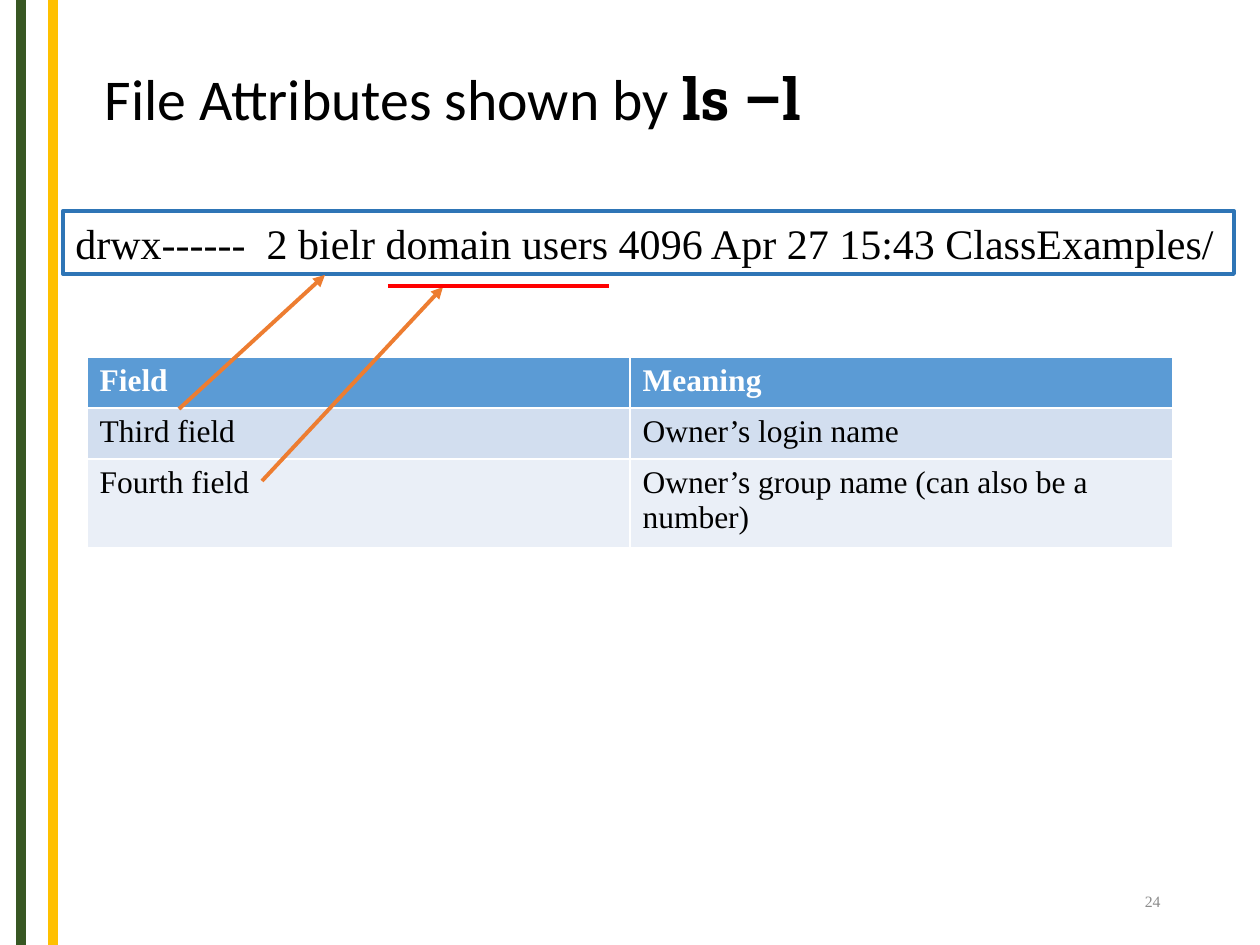
import pptx
import pptx.dml.color
import pptx.enum.shapes
import pptx.enum.text
import pptx.oxml
import pptx.util
from dataclasses import dataclass

EMU_PER_PX = 914400 / 126


@dataclass(frozen=True)
class Theme:
    text: str = "000000"
    muted: str = "8C8C8C"
    white: str = "FFFFFF"
    green: str = "385723"
    gold: str = "FFC000"
    box_line: str = "2E75B6"
    arrow: str = "ED7D31"
    underline: str = "FF0000"
    header_fill: str = "5B9BD5"
    band_fills: tuple = ("D2DEEF", "EAEFF7")
    title_font: str = "Calibri"
    code_font: str = "Roboto Slab"
    body_font: str = "Times New Roman"
    title_size: int = 33
    listing_size: int = 24
    table_size: int = 18
    number_size: int = 9
    bar_width: float = 6
    line_width: float = 2.25


def px(length):
    return pptx.util.Emu(round(length * EMU_PER_PX))


def rgb(value):
    return pptx.dml.color.RGBColor.from_string(value)


class SlideBuilder:
    def __init__(self, presentation, theme):
        self.theme = theme
        self.slide = presentation.slides.add_slide(presentation.slide_layouts[5])

    def format_run(self, run, size, color, font=None, bold=False):
        run.font.name = font or self.theme.body_font
        run.font.size = pptx.util.Pt(size)
        run.font.bold = bold
        run.font.color.rgb = rgb(color)

    def title(self, left, top, width, height, text, code):
        shape = self.slide.shapes.title
        shape.left, shape.top, shape.width, shape.height = map(px, (left, top, width, height))
        frame = shape.text_frame
        frame.word_wrap = True
        frame.vertical_anchor = pptx.enum.text.MSO_ANCHOR.MIDDLE
        paragraph = frame.paragraphs[0]
        paragraph.alignment = pptx.enum.text.PP_ALIGN.LEFT
        paragraph.line_spacing = 0.9
        for words, font, bold in ((text, self.theme.title_font, False),
                                  (code, self.theme.code_font, True)):
            run = paragraph.add_run()
            run.text = words
            self.format_run(run, self.theme.title_size, self.theme.text, font, bold)

    def line(self, start, end, color, width, arrow=False):
        connector = self.slide.shapes.add_connector(
            pptx.enum.shapes.MSO_CONNECTOR.STRAIGHT, *map(px, start + end))
        connector.line.color.rgb = rgb(color)
        connector.line.width = pptx.util.Pt(width)
        if arrow:
            outline = connector.line._get_or_add_ln()
            tail = pptx.oxml.parse_xml(
                '<a:tailEnd xmlns:a="http://schemas.openxmlformats.org/drawingml/2006/main"'
                ' type="triangle"/>')
            outline.append(tail)
        connector._element.spPr.append(pptx.oxml.parse_xml(
            '<a:effectLst xmlns:a="http://schemas.openxmlformats.org/drawingml/2006/main"/>'))

    def framed_text(self, left, top, width, height, text):
        shape = self.slide.shapes.add_shape(
            pptx.enum.shapes.MSO_SHAPE.RECTANGLE, *map(px, (left, top, width, height)))
        shape.shadow.inherit = False
        shape.fill.background()
        shape.line.color.rgb = rgb(self.theme.box_line)
        shape.line.width = pptx.util.Pt(self.theme.line_width)
        frame = shape.text_frame
        frame.word_wrap = True
        frame.auto_size = pptx.enum.text.MSO_AUTO_SIZE.SHAPE_TO_FIT_TEXT
        frame.vertical_anchor = pptx.enum.text.MSO_ANCHOR.TOP
        frame.text = text
        frame.paragraphs[0].alignment = pptx.enum.text.PP_ALIGN.LEFT
        self.format_run(frame.paragraphs[0].runs[0], self.theme.listing_size, self.theme.text)

    def page_number(self, left, top, width, height, text):
        frame = self.slide.shapes.add_textbox(*map(px, (left, top, width, height))).text_frame
        frame.word_wrap = True
        frame.vertical_anchor = pptx.enum.text.MSO_ANCHOR.MIDDLE
        frame.text = text
        frame.paragraphs[0].alignment = pptx.enum.text.PP_ALIGN.RIGHT
        self.format_run(frame.paragraphs[0].runs[0], self.theme.number_size, self.theme.muted)

    def table(self, left, top, width, row_height, rows):
        table = self.slide.shapes.add_table(
            len(rows), len(rows[0]), px(left), px(top), px(width),
            px(row_height * len(rows))).table
        for row_index, texts in enumerate(rows):
            header = row_index == 0
            bands = self.theme.band_fills
            fill = self.theme.header_fill if header else bands[(row_index - 1) % len(bands)]
            color = self.theme.white if header else self.theme.text
            for column_index, text in enumerate(texts):
                cell = table.cell(row_index, column_index)
                cell.fill.solid()
                cell.fill.fore_color.rgb = rgb(fill)
                cell.text = text
                run = cell.text_frame.paragraphs[0].runs[0]
                self.format_run(run, self.theme.table_size, color, bold=header)


def main():
    theme = Theme()
    presentation = pptx.Presentation()
    presentation.slide_width, presentation.slide_height = px(1260), px(945)
    builder = SlideBuilder(presentation, theme)

    # Side bars
    for x, color in ((21, theme.green), (53, theme.gold)):
        builder.line((x, 0), (x, 945), color, theme.bar_width)

    # Title and page number
    builder.title(92, 4, 1086, 195, "File Attributes shown by ", "ls –l")
    builder.page_number(890, 876, 283, 50, "24")

    # Field meanings
    builder.table(87, 357, 1086, 51, [
        ("Field", "Meaning"),
        ("Third field", "Owner’s login name"),
        ("Fourth field", "Owner’s group name (can also be a number)"),
    ])

    # Sample listing
    builder.framed_text(63, 211, 1171, 63,
                        "drwx------  2 bielr domain users 4096 Apr 27 15:43 ClassExamples/")

    # Arrows from the fields to the listing, and the group underline
    for start, end in (((179, 409), (325, 275)), ((262, 481), (443, 287))):
        builder.line(start, end, theme.arrow, theme.line_width, arrow=True)
    builder.line((388, 286), (609, 286), theme.underline, theme.line_width)

    presentation.save("out.pptx")


if __name__ == "__main__":
    main()
